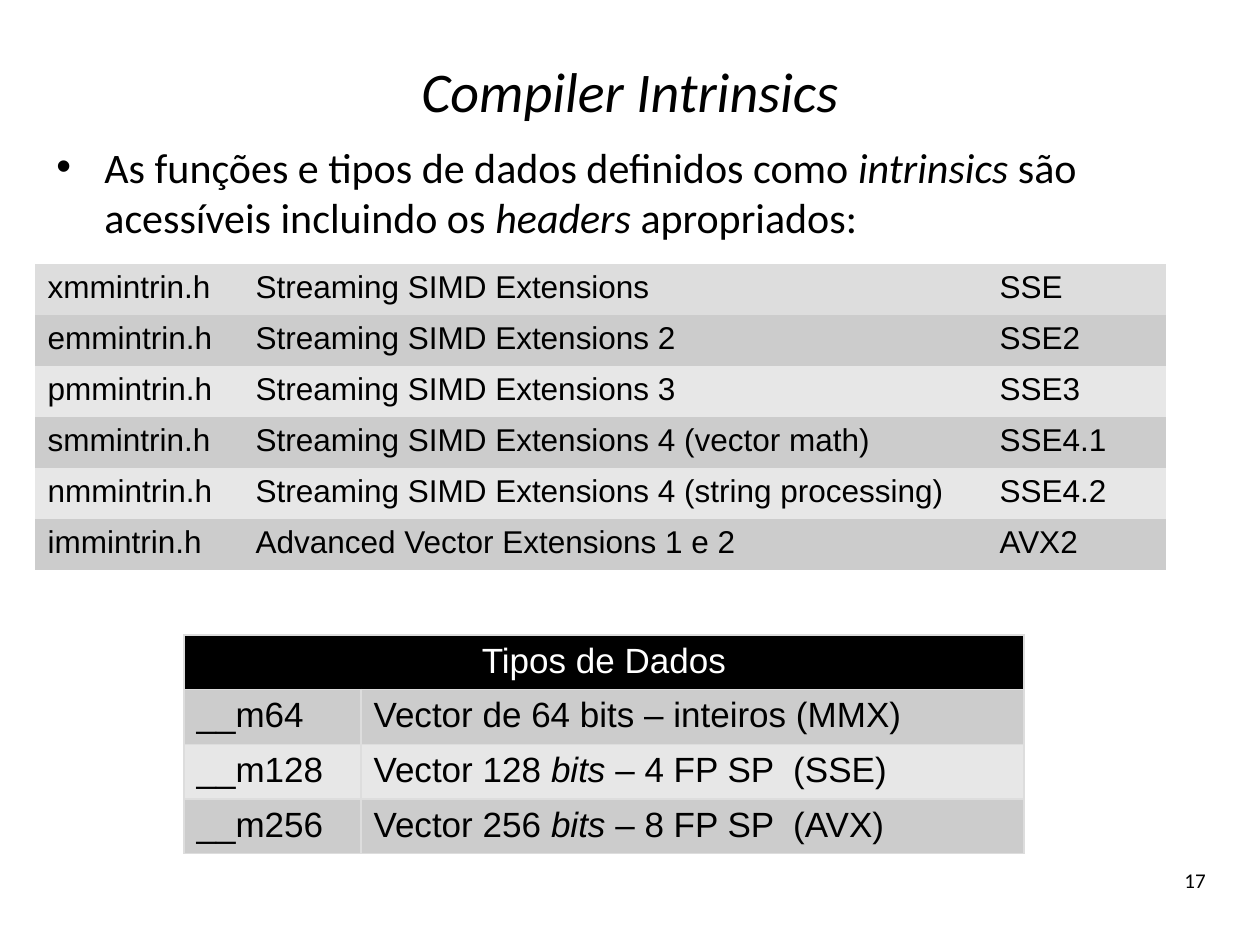
from lxml.etree import SubElement as Sub
from pptx import Presentation
from pptx.dml.color import RGBColor as RGB
from pptx.enum.text import MSO_ANCHOR as Anchor, PP_ALIGN as Align
from pptx.oxml.ns import qn
from pptx.util import Pt

SCALE = 914400 / 126
BLACK = RGB(0, 0, 0)
WHITE = RGB(255, 255, 255)
PALE = RGB(0xDD, 0xDD, 0xDD)
DARK = RGB(0xCC, 0xCC, 0xCC)
LIGHT = RGB(0xE7, 0xE7, 0xE7)
PLAIN = "{2D5ABB26-0587-4C30-8999-92F81FD0307C}"

TITLE = {"name": "Calibri", "size": Pt(32)}
BODY = {"name": "Calibri", "size": Pt(24)}
NOTE = {"name": "Calibri", "size": Pt(12)}
SMALL = {"name": "Arial", "size": Pt(18)}
LARGE = {"name": "Arial", "size": Pt(20)}

HEADERS = [
    ("xmmintrin.h", "Streaming SIMD Extensions", "SSE"),
    ("emmintrin.h", "Streaming SIMD Extensions 2", "SSE2"),
    ("pmmintrin.h", "Streaming SIMD Extensions 3", "SSE3"),
    ("smmintrin.h", "Streaming SIMD Extensions 4 (vector math)", "SSE4.1"),
    ("nmmintrin.h", "Streaming SIMD Extensions 4 (string processing)", "SSE4.2"),
    ("immintrin.h", "Advanced Vector Extensions 1 e 2", "AVX2"),
]
TYPES = [
    ("Tipos de Dados", ""),
    ("__m64", "Vector de 64 bits – inteiros (MMX)"),
    ("__m128", "Vector 128 *bits *– 4 FP SP  (SSE)"),
    ("__m256", "Vector 256 *bits *– 8 FP SP  (AVX)"),
]


def px(n):
    """Turn pixels into EMU."""
    return round(n * SCALE)


def write(para, text, form, color=BLACK):
    """Write text into a paragraph, with italics between asterisks."""
    for i, part in enumerate(text.split("*")):
        if part:
            run = para.add_run()
            run.text = part
            for key, value in form.items():
                setattr(run.font, key, value)
            run.font.italic = i % 2 == 1
            run.font.color.rgb = color


def add_text(slide, box, text, form, align=Align.LEFT, anchor=Anchor.TOP):
    """Add a wrapped text box and return its paragraph."""
    frame = slide.shapes.add_textbox(*map(px, box)).text_frame
    frame.word_wrap = True
    frame.vertical_anchor = anchor
    para = frame.paragraphs[0]
    para.alignment = align
    write(para, text, form)
    return para


def add_bullet(para, indent):
    """Give a paragraph a hanging round bullet."""
    props = para._p.get_or_add_pPr()
    props.set("marL", str(px(indent)))
    props.set("indent", str(-px(indent)))
    Sub(props, qn("a:buFont"), typeface="Arial")
    Sub(props, qn("a:buChar"), char="•")


def add_edge(cell, side, color, width):
    """Draw one border of a cell."""
    line = Sub(cell._tc.get_or_add_tcPr(), qn("a:ln" + side), w=str(Pt(width)))
    Sub(Sub(line, qn("a:solidFill")), qn("a:srgbClr"), val=str(color))


def add_grid(slide, left, top, cols, high, rows, form, head, ink, edges):
    """Add a banded table whose first row has its own fill and ink."""
    box = (left, top, sum(cols), high * len(rows))
    table = slide.shapes.add_table(len(rows), len(cols), *map(px, box)).table
    table._tbl.tblPr.find(qn("a:tableStyleId")).text = PLAIN
    for col, wide in zip(table.columns, cols):
        col.width = px(wide)
    for r, row in enumerate(rows):
        fill = (LIGHT, DARK)[r % 2] if r else head
        table.rows[r].height = px(high)
        for c, text in enumerate(row):
            cell = table.cell(r, c)
            for side in edges:
                add_edge(cell, side, PALE, 1)
            cell.fill.solid()
            cell.fill.fore_color.rgb = fill
            write(cell.text_frame.paragraphs[0], text, form, BLACK if r else ink)
    return table


def main():
    """Build the slide and save it."""
    deck = Presentation()
    deck.slide_width, deck.slide_height = px(1260), px(945)
    slide = deck.slides.add_slide(deck.slide_layouts[6])
    add_text(slide, (42, 32, 1176, 116), "*Compiler Intrinsics*", TITLE,
             Align.CENTER, Anchor.MIDDLE)
    intro = add_text(slide, (44, 135, 1176, 137),
                     "As funções e tipos de dados definidos como *intrinsics* são "
                     "acessíveis incluindo os *headers *apropriados:", BODY)
    add_bullet(intro, 48)
    add_text(slide, (1050, 861, 168, 63), "17", NOTE, Align.RIGHT)
    types = add_grid(slide, 184, 635, (177, 663), 51, TYPES, LARGE,
                     BLACK, WHITE, "LRTB")
    title = types.cell(0, 0)
    title.merge(types.cell(0, 1))
    title.text_frame.paragraphs[0].alignment = Align.CENTER
    add_grid(slide, 35, 264, (208, 744, 179), 51, HEADERS, SMALL,
             PALE, BLACK, "")
    deck.save("out.pptx")


if __name__ == "__main__":
    main()
